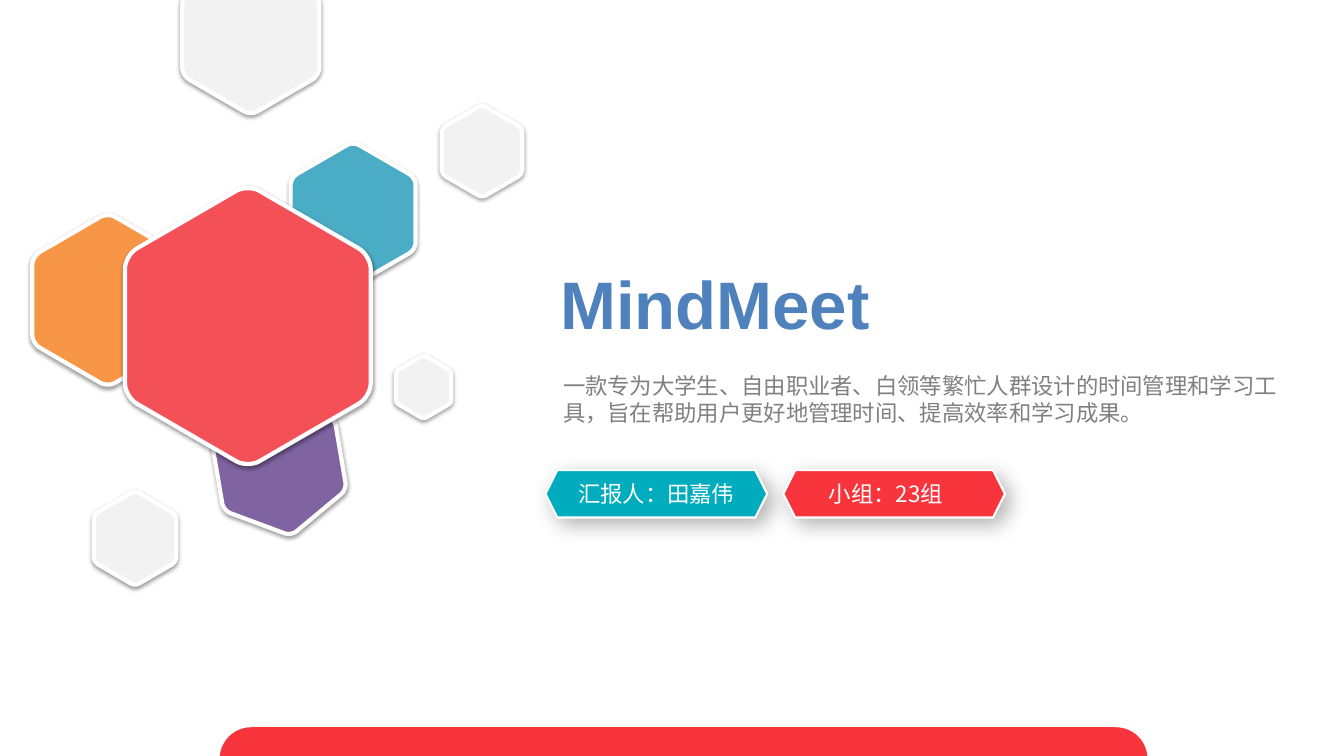
from lxml.etree import SubElement
from pptx import Presentation
from pptx.dml.color import RGBColor
from pptx.enum.shapes import MSO_SHAPE
from pptx.enum.text import MSO_ANCHOR, MSO_AUTO_SIZE, PP_ALIGN
from pptx.oxml.ns import qn
from pptx.util import Inches, Pt

COLORS = {
    "white": "FFFFFF", "pale": "F2F2F2", "purple": "8064A2", "blue": "4BACC6",
    "orange": "F79646", "coral": "F45058", "title": "4F81BD", "gray": "808080",
    "teal": "01ACBE", "red": "F8353D", "black": "000000",
}
SANS = "Noto Sans CJK SC"
UNIT = Inches(0.1)
COLS, ROWS = 133.4, 75
HEX_RATIO = 1.13
SIDE_CORNER = [(-1, -0.41), (-1, -0.46), (-0.96, -0.53), (-0.9, -0.56)]
TOP_CORNER = [(-0.1, -0.97), (-0.05, -1), (0.05, -1), (0.1, -0.97)]

HEXAGONS = [
    (47.85, 15, 8, "pale", 0),
    (27.7, 46.1, 12.4, "purple", -9.7),
    (35.05, 21.2, 12.4, "blue", 0),
    (10.7, 29.75, 15, "orange", 0),
    (24.6, 32.35, 24.4, "coral", 0),
    (13.4, 53.4, 8.2, "pale", 0),
    (42.05, 38.4, 5.5, "pale", 0),
    (24.9, 3.6, 13.6, "pale", 0),
]
BADGES = [("汇报人：田嘉伟", "teal", 0), ("小组：23组", "red", 1.6)]


def grid(*lengths):
    return [round(n * UNIT) for n in lengths]


def rgb(name):
    return RGBColor.from_string(COLORS[name])


def paint(sp, fill, line_width=None):
    sp.shadow.inherit = False
    sp.fill.solid()
    sp.fill.fore_color.rgb = rgb(fill)
    if line_width is None:
        sp.line.fill.background()
    else:
        sp.line.color.rgb = rgb("white")
        sp.line.width = Pt(line_width)


def add_shadow(sp, alpha, blur, dist, angle):
    effects = sp._element.spPr.find(qn("a:effectLst"))
    shadow = SubElement(effects, qn("a:outerShdw"), blurRad=str(Pt(blur)),
                        dist=str(Pt(dist)), dir=str(angle * 60000),
                        algn="ctr", rotWithShape="0")
    color = SubElement(shadow, qn("a:srgbClr"), val=COLORS["black"])
    SubElement(color, qn("a:alpha"), val=str(alpha * 1000))


def write(tf, text, size, font, color, align=PP_ALIGN.LEFT, bold=False):
    tf.word_wrap = True
    tf.auto_size = MSO_AUTO_SIZE.NONE
    tf.vertical_anchor = MSO_ANCHOR.MIDDLE
    p = tf.paragraphs[0]
    p.text = text
    p.alignment = align
    p.font.size = Pt(size)
    p.font.name = font
    p.font.bold = bold
    p.font.color.rgb = rgb(color)
    SubElement(p._p.pPr.find(qn("a:defRPr")), qn("a:ea"), typeface=font)


def rounded_outline():
    upper = SIDE_CORNER + TOP_CORNER + [(-x, y) for x, y in reversed(SIDE_CORNER)]
    return upper + [(-x, -y) for x, y in upper]


def curve_corners(sp):
    segments = list(sp._element.iter(qn("a:lnTo")))
    for i in range(0, len(segments), 4):
        curve = segments[i]
        for control in segments[i + 1:i + 3]:
            curve.append(control[0])
            control.getparent().remove(control)
        curve.tag = qn("a:cubicBezTo")


def add_hexagon(slide, cx, cy, width, fill, angle):
    half_w, half_h = width / 2, width * HEX_RATIO / 2
    points = [grid(cx + x * half_w, cy + y * half_h) for x, y in rounded_outline()]
    builder = slide.shapes.build_freeform(*points[0])
    builder.add_line_segments(points[1:], close=True)
    sp = builder.convert_to_shape()
    curve_corners(sp)
    paint(sp, fill, 3)
    add_shadow(sp, 38, 3.1, 1.6, 90)
    sp.rotation = angle


def add_cluster(slide, left, top):
    for cx, cy, width, fill, angle in HEXAGONS:
        add_hexagon(slide, left + cx, top + cy, width, fill, angle)


def add_heading(slide, left, top, width):
    title = slide.shapes.title
    title.left, title.top, title.width, title.height = grid(left, top, width - 10.3, 9.2)
    write(title.text_frame, "MindMeet", 48, "Arial", "title", bold=True)
    intro = slide.shapes.add_textbox(*grid(left + 0.3, top + 12.1, width, 4.1))
    write(intro.text_frame,
          "一款专为大学生、自由职业者、白领等繁忙人群设计的时间管理和学习工具，"
          "旨在帮助用户更好地管理时间、提高效率和学习成果。", 16, SANS, "gray")


def add_badges(slide, left, top, width, height, gap):
    for i, (text, fill, margin) in enumerate(BADGES):
        sp = slide.shapes.add_shape(
            MSO_SHAPE.HEXAGON, *grid(left + i * (width + gap), top, width, height))
        paint(sp, fill, 1.5)
        add_shadow(sp, 30, 15, 6, 45)
        tf = sp.text_frame
        tf.margin_left = tf.margin_top = tf.margin_bottom = 0
        tf.margin_right = round(margin * UNIT)
        write(tf, text, 16, SANS, "white", PP_ALIGN.CENTER)


def add_footer_bar(slide, left, top, width, height):
    bar = slide.shapes.add_shape(MSO_SHAPE.ROUNDED_RECTANGLE,
                                 *grid(left, top, width, height))
    bar.adjustments[0] = 0.5
    paint(bar, "red")


def main():
    prs = Presentation()
    prs.slide_width, prs.slide_height = grid(COLS, ROWS)
    slide = prs.slides.add_slide(prs.slide_layouts[5])
    add_cluster(slide, 0, 0)
    add_heading(slide, 54.6, 25.4, 74.1)
    add_badges(slide, 54.15, 46.65, 22, 4.7, 1.6)
    add_footer_bar(slide, 21.8, 72.15, 92.1, 6.3)
    prs.save("out.pptx")


if __name__ == "__main__":
    main()
